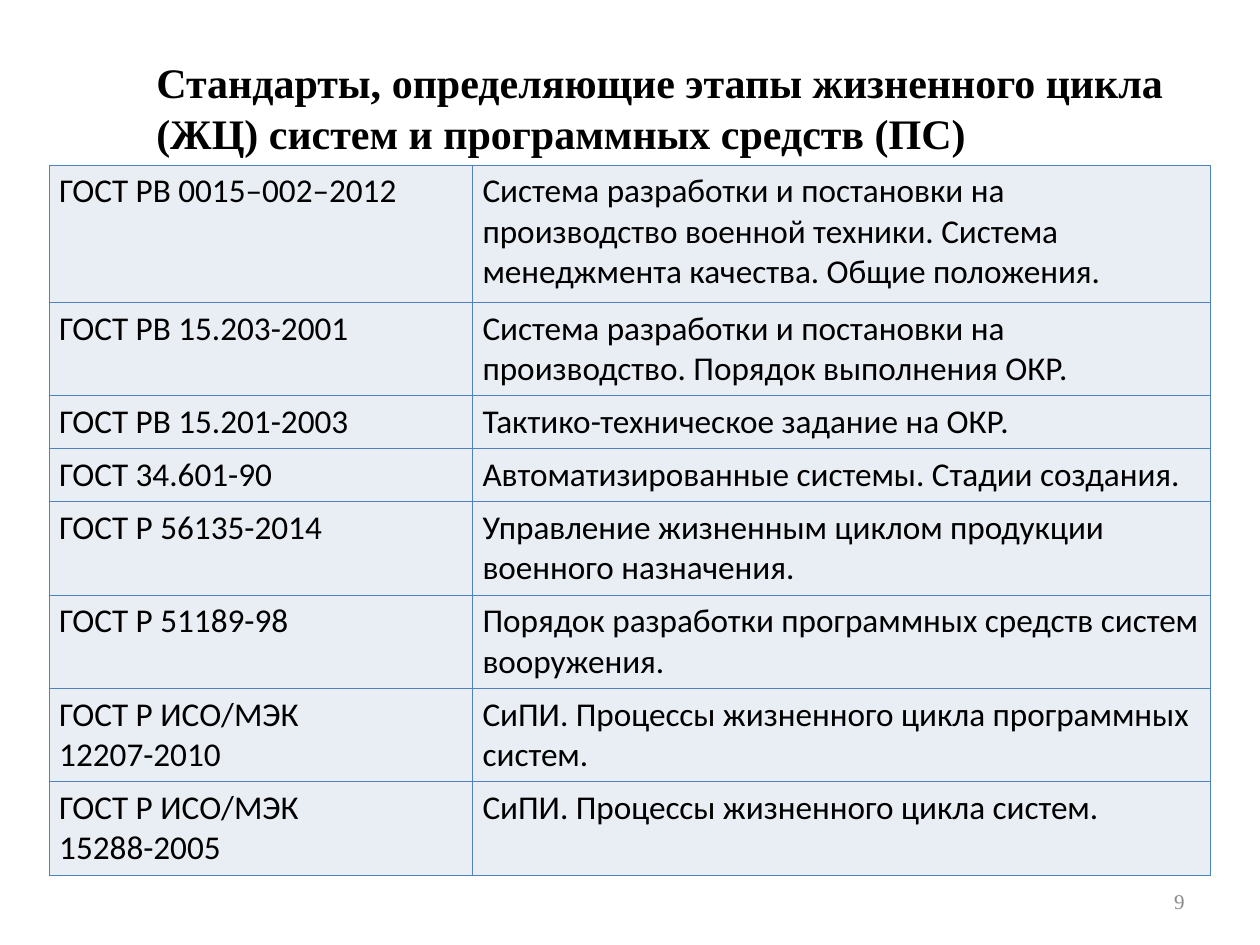
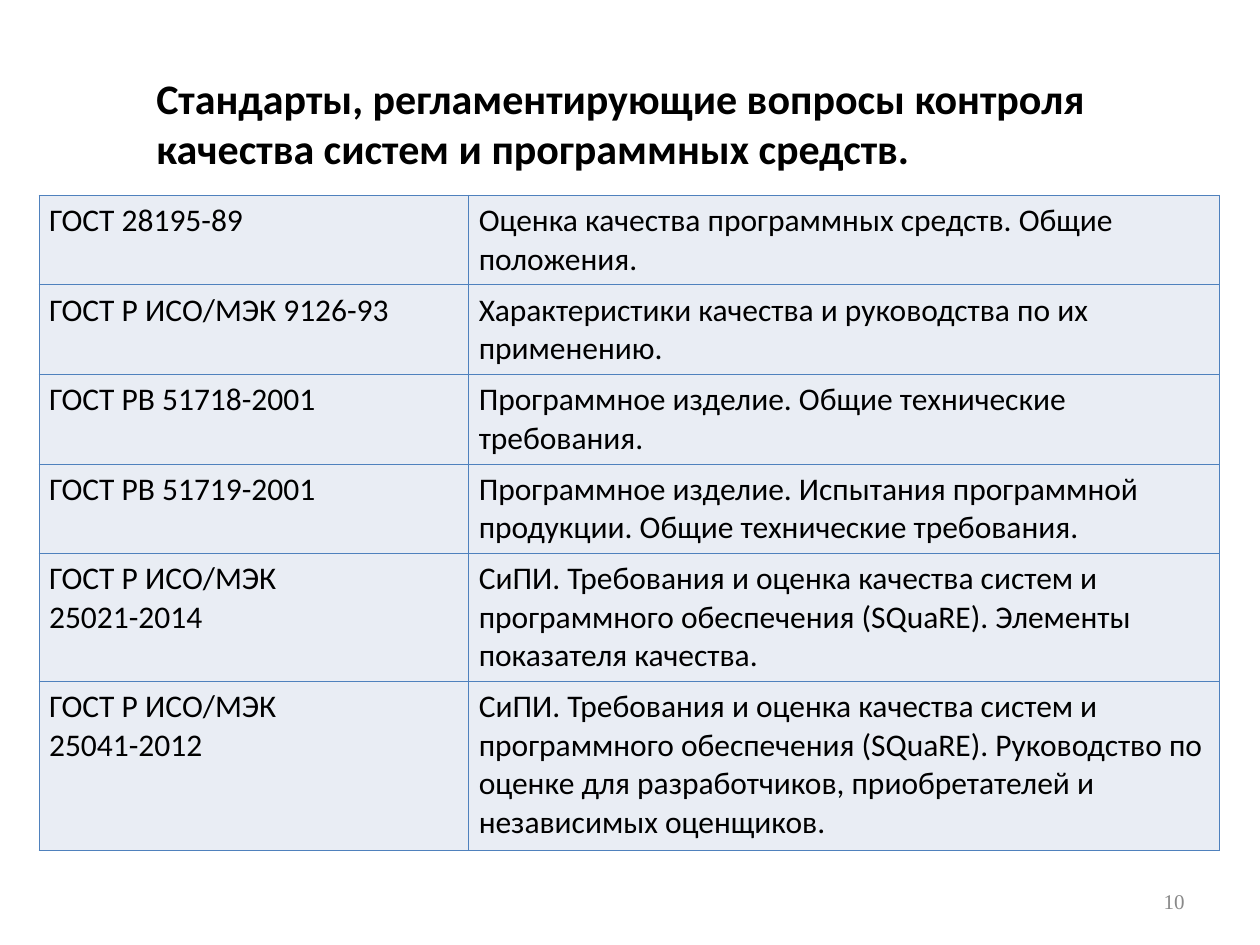
from lxml.etree import SubElement
from pptx import Presentation
from pptx.dml.color import RGBColor
from pptx.enum.text import MSO_ANCHOR, MSO_AUTO_SIZE, PP_ALIGN
from pptx.oxml.ns import qn
from pptx.util import Inches, Pt

COLORS = {"text": "000000", "number": "898989", "cell": "E9EDF4", "border": "4F81BD"}
SANS, SERIF = "Calibri", "Times New Roman"
TITLE_ONLY = 5
NUMBER_BOX = (7.17, 6.95, 2.33, 0.4)

LIFE_CYCLE_STANDARDS = [
    ("ГОСТ РВ 0015–002–2012",
     "Система разработки и постановки на производство военной техники. "
     "Система менеджмента качества. Общие положения."),
    ("ГОСТ РВ 15.203-2001",
     "Система разработки и постановки на производство. Порядок выполнения ОКР."),
    ("ГОСТ РВ 15.201-2003", "Тактико-техническое задание на ОКР."),
    ("ГОСТ 34.601-90", "Автоматизированные системы. Стадии создания."),
    ("ГОСТ Р 56135-2014", "Управление жизненным циклом продукции военного назначения."),
    ("ГОСТ Р 51189-98", "Порядок разработки программных средств систем вооружения."),
    ("ГОСТ Р ИСО/МЭК\v12207-2010", "СиПИ. Процессы жизненного цикла программных систем."),
    ("ГОСТ Р ИСО/МЭК\v15288-2005", "СиПИ. Процессы жизненного цикла систем."),
]
QUALITY_STANDARDS = [
    ("ГОСТ 28195-89", "Оценка качества программных средств. Общие положения."),
    ("ГОСТ Р ИСО/МЭК 9126-93", "Характеристики качества и руководства по их применению."),
    ("ГОСТ РВ 51718-2001", "Программное изделие. Общие технические требования."),
    ("ГОСТ РВ 51719-2001",
     "Программное изделие. Испытания программной продукции. Общие технические требования."),
    ("ГОСТ Р ИСО/МЭК\v25021-2014",
     "СиПИ. Требования и оценка качества систем и программного обеспечения (SQuaRE). "
     "Элементы показателя качества."),
    ("ГОСТ Р ИСО/МЭК\v25041-2012",
     "СиПИ. Требования и оценка качества систем и программного обеспечения (SQuaRE). "
     "Руководство по оценке для разработчиков, приобретателей и независимых оценщиков."),
]


def write_text(frame, text, size, font=SANS, color="text", bold=False, align=PP_ALIGN.LEFT):
    frame.word_wrap = True
    frame.text = text
    para = frame.paragraphs[0]
    para.alignment = align
    for span in para.runs:
        span.font.name = font
        span.font.size = Pt(size)
        span.font.bold = bold
        span.font.color.rgb = RGBColor.from_string(COLORS[color])


def add_title(page, box, text, font):
    title = page.shapes.title
    title.left, title.top, title.width, title.height = map(Inches, box)
    write_text(title.text_frame, text, 24, font, bold=True)
    title.text_frame.auto_size = MSO_AUTO_SIZE.NONE
    title.text_frame.vertical_anchor = MSO_ANCHOR.MIDDLE


def add_page_number(page, box, number):
    frame = page.shapes.add_textbox(*map(Inches, box)).text_frame
    write_text(frame, str(number), 12, SERIF, "number", align=PP_ALIGN.RIGHT)
    frame.vertical_anchor = MSO_ANCHOR.MIDDLE


def set_borders(cell):
    properties = cell._tc.get_or_add_tcPr()
    for position, side in enumerate(("lnL", "lnR", "lnT", "lnB")):
        line = SubElement(properties, qn(f"a:{side}"), w=str(Pt(0.45)))
        fill = SubElement(line, qn("a:solidFill"))
        SubElement(fill, qn("a:srgbClr"), val=COLORS["border"])
        properties.insert(position, line)


def add_standards_table(page, box, standards, code_width, row_heights, size):
    left, top, width, height = map(Inches, box)
    table = page.shapes.add_table(len(standards), 2, left, top, width, height).table
    table.first_row = table.horz_banding = False
    table.columns[0].width = Inches(code_width)
    table.columns[1].width = width - Inches(code_width)
    for row, row_height, texts in zip(table.rows, row_heights, standards):
        row.height = Inches(row_height)
        for cell, text in zip(row.cells, texts):
            cell.margin_left = cell.margin_right = Inches(0.08)
            cell.fill.solid()
            cell.fill.fore_color.rgb = RGBColor.from_string(COLORS["cell"])
            set_borders(cell)
            write_text(cell.text_frame, text, size)


def add_standards_page(deck, number, title, title_box, title_font, **table):
    page = deck.slides.add_slide(deck.slide_layouts[TITLE_ONLY])
    add_title(page, title_box, title, title_font)
    add_standards_table(page, **table)
    add_page_number(page, NUMBER_BOX, number)


def main():
    deck = Presentation()
    deck.slide_width, deck.slide_height = Inches(10), Inches(7.5)
    add_standards_page(
        deck, 9,
        "Стандарты, определяющие этапы жизненного цикла (ЖЦ) систем и программных средств (ПС)",
        (1.14, 0.4, 8.43, 0.9), SERIF,
        box=(0.39, 1.31, 9.22, 5.43), standards=LIFE_CYCLE_STANDARDS, code_width=3.36,
        row_heights=[1.09, 0.72] + [0.36] * 2 + [0.72] * 4, size=19)
    add_standards_page(
        deck, 10,
        "Стандарты, регламентирующие вопросы контроля качества систем и программных средств.",
        (1.14, 0.52, 8.27, 0.91), SANS,
        box=(0.31, 1.55, 9.37, 5.04), standards=QUALITY_STANDARDS, code_width=3.41,
        row_heights=[0.67] * 4 + [1.01, 1.34], size=18)
    deck.save("out.pptx")


if __name__ == "__main__":
    main()
